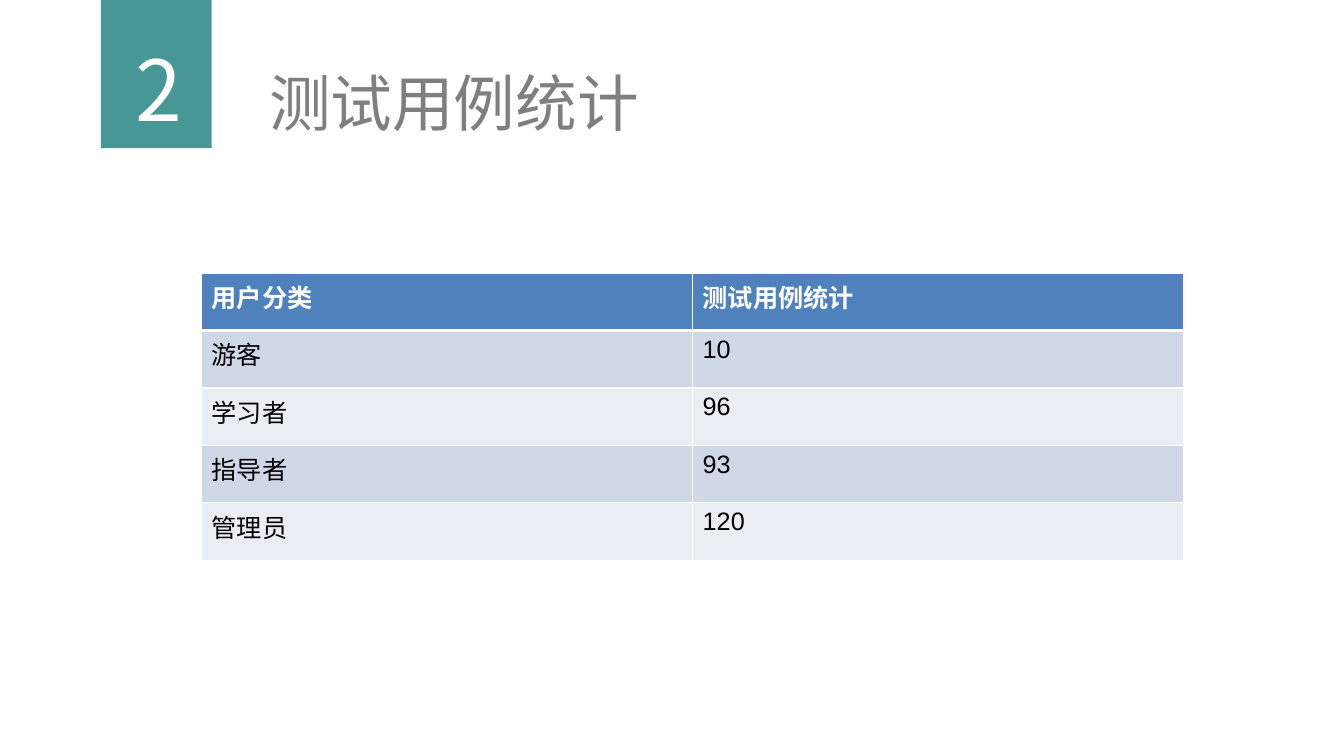
from lxml import etree
from pptx import Presentation
from pptx.dml.color import RGBColor
from pptx.enum.shapes import MSO_SHAPE
from pptx.enum.text import MSO_ANCHOR, PP_ALIGN
from pptx.oxml.ns import qn
from pptx.util import Inches, Pt

NUMBER = "2"
TITLE = "测试用例统计"
ROWS = [
    ("用户分类", "测试用例统计"),
    ("游客", "10"),
    ("学习者", "96"),
    ("指导者", "93"),
    ("管理员", "120"),
]
TEAL, GREY, WHITE, BLACK = "479796", "7F7F7F", "FFFFFF", "000000"
HEADER_FILL, BAND_FILLS = "4F81BD", ("D0D8E8", "E9EDF4")
CELL_FONT, CJK_FONT = "Arial", "Noto Sans CJK SC"
COLUMN_WIDTH, ROW_HEIGHT = 4.87, 0.57


def rgb(value):
    return RGBColor.from_string(value)


def style(para, size, color, latin, east_asian, bold=False):
    """Format the only run of a paragraph, for Latin and Chinese text alike."""
    span = para.runs[0]
    span.font.size = Pt(size)
    span.font.bold = bold
    span.font.color.rgb = rgb(color)
    span.font.name = latin
    etree.SubElement(span.font._element, qn("a:ea"), typeface=east_asian)


def add_text(page, area, text, size, color, font, align):
    box = page.shapes.add_textbox(*map(Inches, area))
    frame = box.text_frame
    frame.word_wrap = True
    frame.vertical_anchor = MSO_ANCHOR.MIDDLE
    frame.text = text
    para = frame.paragraphs[0]
    para.alignment = align
    style(para, size, color, font, font)


def set_borders(cell, widths):
    """Draw white left, right, top and bottom borders, widths in points."""
    properties = cell._tc.get_or_add_tcPr()
    for index, (side, width) in enumerate(zip("LRTB", widths)):
        line = etree.Element(qn(f"a:ln{side}"), w=str(Pt(width)))
        fill = etree.SubElement(line, qn("a:solidFill"))
        etree.SubElement(fill, qn("a:srgbClr"), val=WHITE)
        properties.insert(index, line)


def add_statistics(page):
    rows, columns = len(ROWS), len(ROWS[0])
    table = page.shapes.add_table(
        rows, columns, Inches(2), Inches(2.71),
        Inches(COLUMN_WIDTH * columns), Inches(ROW_HEIGHT * rows)).table
    for column in table.columns:
        column.width = Inches(COLUMN_WIDTH)
    for r, texts in enumerate(ROWS):
        table.rows[r].height = Inches(ROW_HEIGHT)
        header = r == 0
        for c, text in enumerate(texts):
            cell = table.cell(r, c)
            cell.text = text
            cell.fill.solid()
            cell.fill.fore_color.rgb = rgb(HEADER_FILL if header else BAND_FILLS[(r - 1) % 2])
            set_borders(cell, (1, 1, 3 if r == 1 else 1, 3 if header else 1))
            style(cell.text_frame.paragraphs[0], 18, WHITE if header else BLACK,
                  CELL_FONT, CJK_FONT, bold=header)


def main():
    deck = Presentation()
    deck.slide_width, deck.slide_height = Inches(13.33), Inches(7.5)
    page = deck.slides.add_slide(deck.slide_layouts[6])

    tab = page.shapes.add_shape(
        MSO_SHAPE.RECTANGLE, Inches(1), Inches(0), Inches(1.1), Inches(1.47))
    tab.shadow.inherit = False
    tab.fill.solid()
    tab.fill.fore_color.rgb = rgb(TEAL)
    tab.line.fill.background()

    add_text(page, (1.03, 0.32, 1.1, 1.11), NUMBER, 60, WHITE,
             "Noto Sans CJK KR", PP_ALIGN.CENTER)
    add_text(page, (2.57, 0.59, 6.93, 0.84), TITLE, 44, GREY, CJK_FONT, PP_ALIGN.LEFT)
    add_statistics(page)
    deck.save("out.pptx")


if __name__ == "__main__":
    main()
